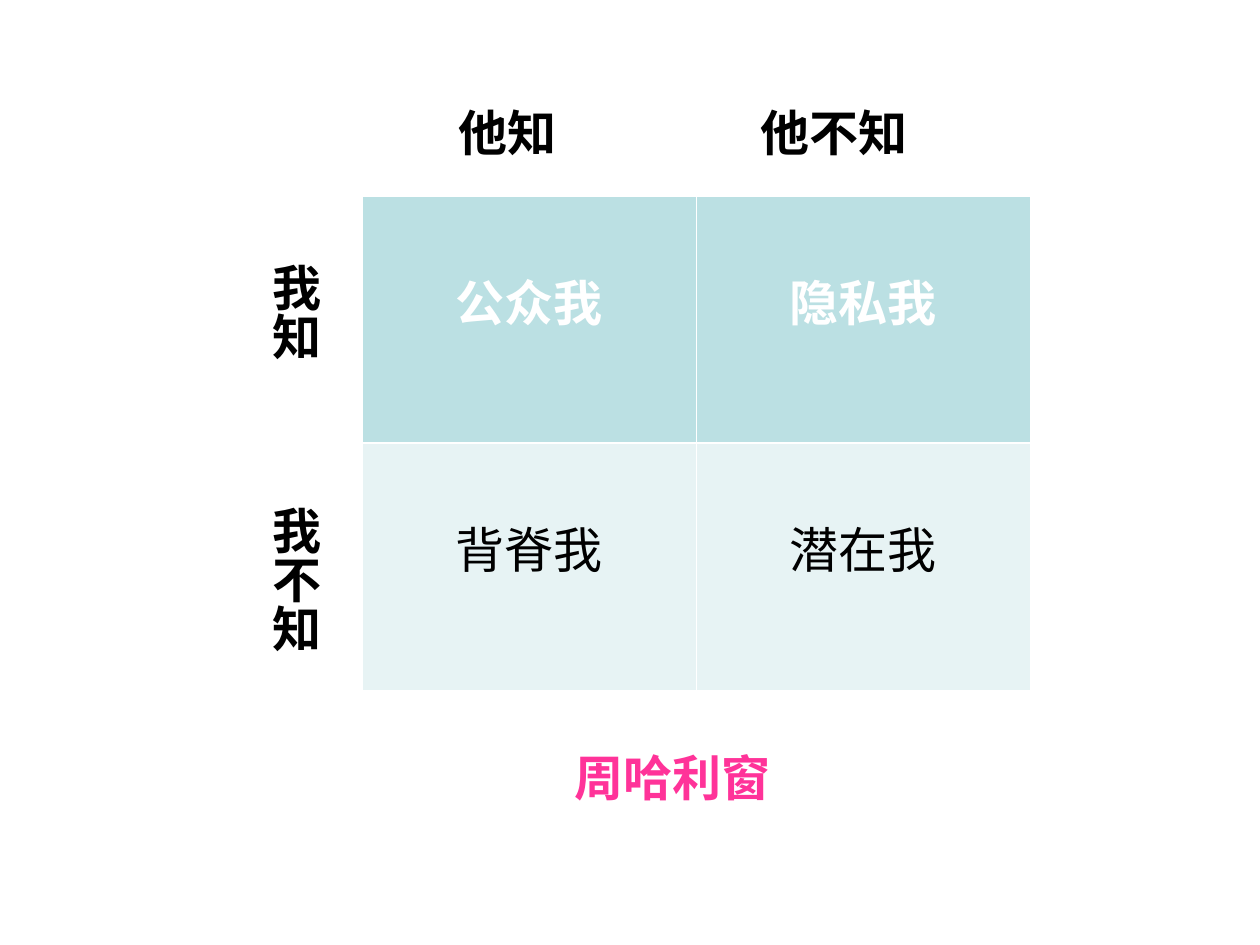
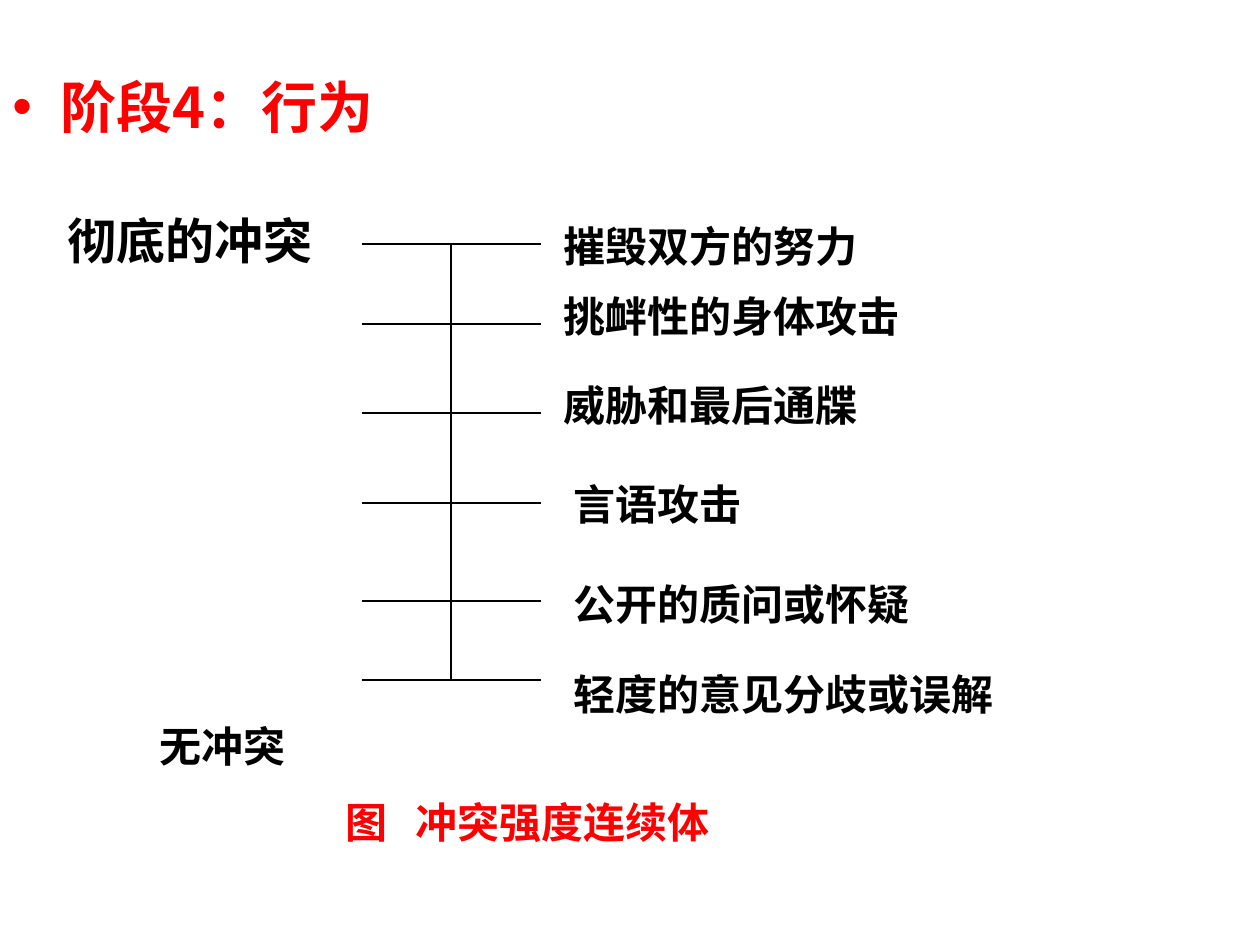
from pptx import Presentation
from pptx import util as u
from pptx.dml.color import RGBColor
from pptx.enum import shapes, text
from pptx.oxml import parse_xml
from pptx.oxml.ns import nsdecls

BLACK = RGBColor(0x00, 0x00, 0x00)
WHITE = RGBColor(0xFF, 0xFF, 0xFF)
RED = RGBColor(0xFF, 0x00, 0x00)
PINK = RGBColor(0xFF, 0x33, 0x99)
TEAL = RGBColor(0xBB, 0xE0, 0xE3)
PALE = RGBColor(0xE7, 0xF3, 0xF4)
LATIN_FONT = "Arial"
CJK_FONT = "Noto Sans CJK SC"
PX = 914400 / 126


def style_runs(paragraph, size, color, bold=True, font=LATIN_FONT):
    for run in paragraph.runs:
        run.font.name = font
        run.font.size = u.Pt(size)
        run.font.bold = bold
        run.font.color.rgb = color
        run.font._element.append(parse_xml(f'<a:ea {nsdecls("a")} typeface="{CJK_FONT}"/>'))


def add_label(slide, box, wording, size, color=BLACK, font=LATIN_FONT, fit=True):
    shape = slide.shapes.add_textbox(*[round(length * PX) for length in box])
    frame = shape.text_frame
    frame.word_wrap = True
    frame.auto_size = text.MSO_AUTO_SIZE.SHAPE_TO_FIT_TEXT if fit else text.MSO_AUTO_SIZE.NONE
    frame.text = wording
    style_runs(frame.paragraphs[0], size, color, font=font)
    return frame


presentation = Presentation()
presentation.slide_width = round(1260 * PX)
presentation.slide_height = round(945 * PX)
blank = presentation.slide_layouts[6]

window_slide = presentation.slides.add_slide(blank)
table_box = [round(length * PX) for length in (362, 196, 668, 494)]
table = window_slide.shapes.add_table(2, 2, *table_box).table
window_rows = [
    (("公众我", "隐私我"), TEAL, WHITE, True),
    (("背脊我", "潜在我"), PALE, BLACK, False),
]
for row, (names, fill, color, bold) in enumerate(window_rows):
    for column, name in enumerate(names):
        cell = table.cell(row, column)
        cell.margin_top = round(69 * PX)
        cell.text = name
        paragraph = cell.text_frame.paragraphs[0]
        paragraph.alignment = text.PP_ALIGN.CENTER
        style_runs(paragraph, 28, color, bold)
        properties = cell._tc.get_or_add_tcPr()
        thick_side = "B" if row == 0 else "T"
        for side in "LRTB":
            width = u.Pt(1.47 if side == thick_side else 0.45)
            properties.append(parse_xml(
                f'<a:ln{side} {nsdecls("a")} w="{width}"><a:solidFill>'
                f'<a:srgbClr val="{WHITE}"/></a:solidFill></a:ln{side}>'))
        cell.fill.solid()
        cell.fill.fore_color.rgb = fill

for wording, top, height in [("我知", 251, 164), ("我不知", 494, 197)]:
    frame = add_label(window_slide, (248, top, 83, height), wording, 28)
    frame.margin_left = frame.margin_right = u.Inches(0.05)
    frame.margin_top = frame.margin_bottom = u.Inches(0.1)
    frame._txBody.bodyPr.set("vert", "eaVert")

for wording, left, width in [("他知", 446, 135), ("他不知", 748, 205)]:
    add_label(window_slide, (left, 96, width, 72), wording, 28)
add_label(window_slide, (562, 741, 289, 72), "周哈利窗", 28, PINK)

conflict_slide = presentation.slides.add_slide(blank)
title = add_label(conflict_slide, (0, 66, 1260, 879), "阶段4：行为", 32, RED, CJK_FONT, False)
title_properties = title.paragraphs[0]._p.get_or_add_pPr()
title_properties.set("marL", str(round(48 * PX)))
title_properties.set("indent", str(round(-48 * PX)))
for bullet_part in [
    f'<a:buClr {nsdecls("a")}><a:srgbClr val="{RED}"/></a:buClr>',
    f'<a:buFont {nsdecls("a")} typeface="{LATIN_FONT}"/>',
    f'<a:buChar {nsdecls("a")} char="•"/>',
]:
    title_properties.append(parse_xml(bullet_part))

levels = [
    ("摧毁双方的努力", 244, 551, 214, 388),
    ("挑衅性的身体攻击", 324, 551, 284, 378),
    ("威胁和最后通牒", 413, 551, 373, 388),
    ("言语攻击", 503, 561, 472, 336),
    ("公开的质问或怀疑", 601, 561, 572, 368),
    ("轻度的意见分歧或误解", 680, 561, 662, 472),
]
axis = (451, levels[0][1], 451, levels[-1][1])
ticks = [(362, tick, 541, tick) for _, tick, *_ in levels]
for ends in [axis, *ticks]:
    line = conflict_slide.shapes.add_connector(
        shapes.MSO_CONNECTOR.STRAIGHT, *[round(length * PX) for length in ends])
    line.line.color.rgb = BLACK
    line.line.width = u.Pt(0.75)
    line._element.spPr.append(parse_xml(f'<a:effectLst {nsdecls("a")}/>'))

for wording, _, left, top, width in levels:
    add_label(conflict_slide, (left, top, width, 63), wording, 24)

add_label(conflict_slide, (55, 204, 270, 72), "彻底的冲突", 28).word_wrap = False
add_label(conflict_slide, (147, 714, 158, 63), "无冲突", 24)
caption = add_label(conflict_slide, (333, 790, 446, 63), "图\t冲突强度连续体", 24, RED)
caption.paragraphs[0]._p.get_or_add_pPr().append(parse_xml(
    f'<a:tabLst {nsdecls("a")}><a:tab pos="{round(70 * PX)}" algn="l"/></a:tabLst>'))

presentation.save("out.pptx")
